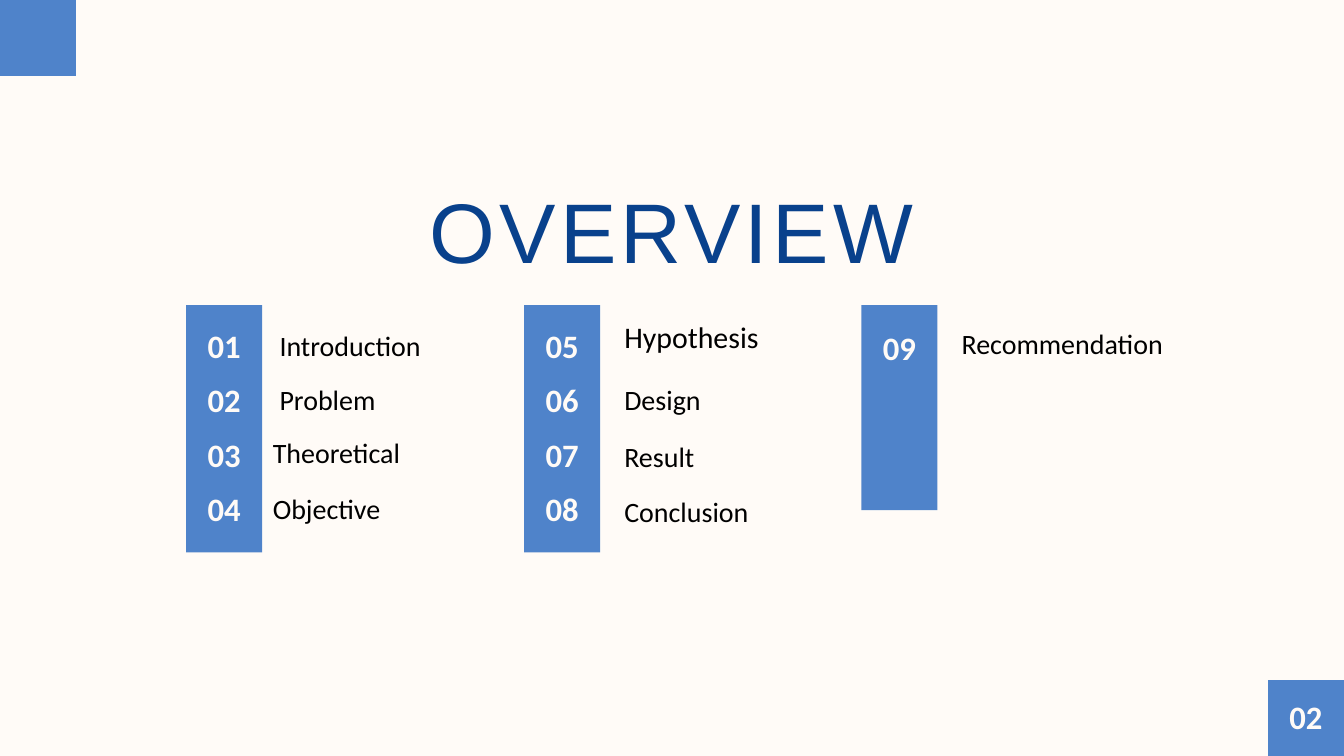
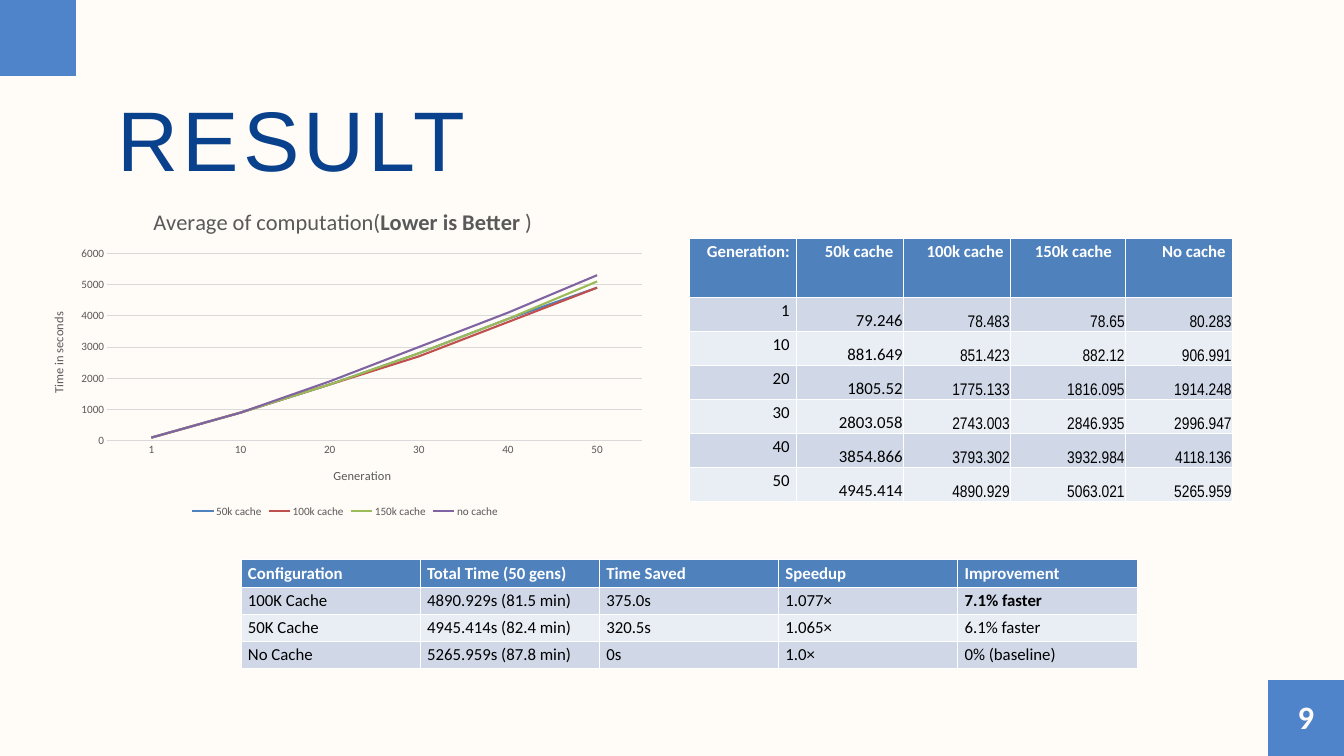
from lxml import etree
from pptx import Presentation
from pptx.chart.data import CategoryChartData
from pptx.dml.color import RGBColor
from pptx.enum.chart import XL_CHART_TYPE, XL_LEGEND_POSITION, XL_TICK_MARK
from pptx.enum.shapes import MSO_SHAPE
from pptx.enum.text import MSO_ANCHOR, MSO_AUTO_SIZE, PP_ALIGN
from pptx.oxml.ns import qn
from pptx.util import Inches, Pt

LEFT, CENTER, RIGHT = PP_ALIGN.LEFT, PP_ALIGN.CENTER, PP_ALIGN.RIGHT
TOP, MIDDLE, BOTTOM = MSO_ANCHOR.TOP, MSO_ANCHOR.MIDDLE, MSO_ANCHOR.BOTTOM
NO_TICKS = XL_TICK_MARK.NONE

CREAM, NAVY, BLUE, BLACK, WHITE = "FFFBF7", "09418C", "155CBB", "000000", "FFFFFF"
HEADER, BANDS = "4F81BD", ("D0D8E8", "E9EDF4")
GREY, GRID = "595959", "D9D9D9"
SERIES_COLORS = ("4F81BD", "C0504D", "9BBB59", "8064A2")
SQUARE = 1.13
NUMBER_STEP = 2.42 / 3
CHART_WIDTH, CHART_HEIGHT = 9.21, 4.83

# Each column: left, height, top of first number, (label, left, top, size) entries
AGENDA = [
    (2.77, 3.68, 4.95, [("Introduction", 4.16, 4.97, 30), ("Problem", 4.16, 5.78, 30),
                        ("Theoretical", 4.06, 6.57, 30), ("Objective", 4.06, 7.4, 30)]),
    (7.8, 3.68, 4.95, [("Hypothesis", 9.29, 4.86, 32), ("Design", 9.29, 5.77, 30),
                       ("Result", 9.29, 6.63, 30), ("Conclusion", 9.29, 7.44, 30)]),
    (12.82, 3.05, 4.98, [("Recommendation", 14.31, 4.94, 30)]),
]

GENERATIONS = ("1", "10", "20", "30", "40", "50")
TIMES = {
    "50k cache": (79.246, 881.649, 1805.52, 2803.058, 3854.866, 4945.414),
    "100k cache": (78.483, 851.423, 1775.133, 2743.003, 3793.302, 4890.929),
    "150k cache": (78.65, 882.12, 1816.095, 2846.935, 3932.984, 5063.021),
    "no cache": (80.283, 906.991, 1914.248, 2996.947, 4118.136, 5265.959),
}
HEADER_RIGHT_MARGINS = (0.1, 0.15, 0.1, 0.2, 0.1)
SUMMARY = [
    ("Configuration", "Total Time (50 gens)", "Time Saved", "Speedup", "Improvement"),
    ("100K Cache", "4890.929s (81.5 min)", "375.0s", "1.077×", "7.1% faster"),
    ("50K Cache", "4945.414s (82.4 min)", "320.5s", "1.065×", "6.1% faster"),
    ("No Cache", "5265.959s (87.8 min)", "0s", "1.0×", "0% (baseline)"),
]


def rgb(color):
    return RGBColor.from_string(color)


def write(paragraph, text, size=18, color=BLACK, font="Calibri", bold=False,
          align=None, leading=None, tracking=None):
    """Append one formatted run to the paragraph."""
    run = paragraph.add_run()
    run.text = text
    run.font.name, run.font.size, run.font.bold = font, Pt(size), bold
    run.font.color.rgb = rgb(color)
    if align is not None:
        paragraph.alignment = align
    if leading:
        paragraph.line_spacing = Pt(leading)
    if tracking:
        run.font._element.set("spc", str(int(tracking * 100)))


def prepare_frame(frame):
    frame.margin_left = frame.margin_right = frame.margin_top = frame.margin_bottom = 0
    frame.word_wrap = True
    frame.auto_size = MSO_AUTO_SIZE.NONE
    frame.vertical_anchor = TOP


def add_label(slide, text, left, top, width, height, **style):
    box = slide.shapes.add_textbox(Inches(left), Inches(top), Inches(width), Inches(height))
    prepare_frame(box.text_frame)
    write(box.text_frame.paragraphs[0], text, **style)


def add_number(slide, text, left, top):
    add_label(slide, text, left, top, 0.93, 0.5, size=35, color=CREAM, bold=True,
              align=CENTER, leading=35)


def add_block(slide, left, top, height=SQUARE):
    """Add a blue block, one quarter transparent."""
    block = slide.shapes.add_shape(MSO_SHAPE.RECTANGLE, Inches(left), Inches(top),
                                   Inches(SQUARE), Inches(height))
    block.shadow.inherit = False
    block.fill.solid()
    block.fill.fore_color.rgb = rgb(BLUE)
    block.line.fill.background()
    fill_color = block._element.spPr.find(qn("a:solidFill"))[0]
    etree.SubElement(fill_color, qn("a:alpha")).set("val", "75000")


def add_slide(prs, title, number, left, top, width, align):
    slide = prs.slides.add_slide(prs.slide_layouts[5])
    heading = slide.shapes.title
    heading.left, heading.top = Inches(left), Inches(top)
    heading.width, heading.height = Inches(width), Inches(1.31)
    prepare_frame(heading.text_frame)
    write(heading.text_frame.paragraphs[0], title, size=90.6, color=NAVY, font="Arial",
          align=align, leading=90.6, tracking=4.5)
    add_block(slide, 0, 0)
    add_block(slide, 20 - SQUARE, 11.25 - SQUARE)
    add_number(slide, number, 18.97, 10.47)
    return slide


def add_agenda(slide):
    number = 1
    for left, height, number_top, entries in AGENDA:
        add_block(slide, left, 4.54, height)
        for row, (label, label_left, label_top, size) in enumerate(entries):
            add_number(slide, f"{number:02}", left + 0.1, number_top + row * NUMBER_STEP)
            add_label(slide, label, label_left, label_top, 4.13, 0.44, size=size,
                      align=LEFT, leading=30)
            number += 1


def set_layout(element, **inches):
    """Fix the place (x, y) and size (w, h) of a chart part, in inches within the chart."""
    for old in element.findall(qn("c:layout")):
        element.remove(old)
    layout = etree.Element(qn("c:layout"))
    manual = etree.SubElement(layout, qn("c:manualLayout"))
    if "w" in inches:
        etree.SubElement(manual, qn("c:layoutTarget")).set("val", "inner")
    for side in ("x", "y"):
        etree.SubElement(manual, qn(f"c:{side}Mode")).set("val", "edge")
    for key, length in inches.items():
        fraction = length / (CHART_WIDTH if key in "xw" else CHART_HEIGHT)
        etree.SubElement(manual, qn(f"c:{key}")).set("val", f"{fraction:.4f}")
    text = element.find(qn("c:tx"))
    if text is None:
        element.insert(0, layout)
    else:
        text.addnext(layout)


def format_font(font, size, color):
    font.name, font.size, font.bold = "Calibri", Pt(size), False
    font.color.rgb = rgb(color)


def format_axis(axis, title, x, y):
    axis.major_tick_mark = axis.minor_tick_mark = NO_TICKS
    format_font(axis.tick_labels.font, 12, GREY)
    write(axis.axis_title.text_frame.paragraphs[0], title, size=13.3, color=GREY)
    set_layout(axis.axis_title._element, x=x, y=y)


def add_time_chart(slide):
    data = CategoryChartData()
    data.categories = GENERATIONS
    for name, times in TIMES.items():
        data.add_series(name, [round(time, -2) for time in times])
    chart = slide.shapes.add_chart(XL_CHART_TYPE.LINE, Inches(0.53), Inches(2.92),
                                   Inches(CHART_WIDTH), Inches(CHART_HEIGHT), data).chart
    format_font(chart.font, 10, BLACK)

    heading = chart.chart_title.text_frame.paragraphs[0]
    for text, bold in (("Average of computation(", False), ("Lower is Better", True),
                       (" )", False)):
        write(heading, text, size=24, color=GREY, bold=bold)
    set_layout(chart.chart_title._element, x=1.72, y=0.15)

    chart.has_legend = True
    chart.legend.position = XL_LEGEND_POSITION.BOTTOM
    chart.legend.include_in_layout = False
    format_font(chart.legend.font, 12, GREY)

    format_axis(chart.category_axis, "Generation", 4.4, 4)
    chart.category_axis.format.line.color.rgb = rgb(GRID)
    chart.category_axis.format.line.width = Pt(0.75)
    seconds = chart.value_axis
    format_axis(seconds, "Time in seconds", 0.18, 1.69)
    seconds.axis_title.text_frame._txBody.bodyPr.set("rot", "-5400000")
    seconds.format.line.fill.background()
    seconds.minimum_scale, seconds.maximum_scale, seconds.major_unit = 0, 6000, 1000
    seconds.major_gridlines.format.line.color.rgb = rgb(GRID)
    seconds.major_gridlines.format.line.width = Pt(0.75)

    plot = chart.plots[0]
    plot.vary_by_categories = False
    for series, color in zip(plot.series, SERIES_COLORS):
        series.smooth = False
        series.format.line.color.rgb = rgb(color)
        series.format.line.width = Pt(2.25)
    plot_area = chart._chartSpace.find(f".//{qn('c:plotArea')}")
    set_layout(plot_area, x=1.06, y=0.85, w=7.96, h=2.79)


def add_grid(slide, rows, left, top, widths, heights, style_cell):
    """Add a banded table; style_cell(cell, row, column) returns its text format."""
    table = slide.shapes.add_table(len(rows), len(widths), Inches(left), Inches(top),
                                   Inches(sum(widths)), Inches(sum(heights))).table
    for column, width in zip(table.columns, widths):
        column.width = Inches(width)
    for r, texts in enumerate(rows):
        table.rows[r].height = Inches(heights[r])
        for c, text in enumerate(texts):
            cell = table.cell(r, c)
            cell.fill.solid()
            cell.fill.fore_color.rgb = rgb(BANDS[(r - 1) % 2] if r else HEADER)
            style = {"color": BLACK if r else WHITE, "bold": r == 0}
            style.update(style_cell(cell, r, c))
            write(cell.text_frame.paragraphs[0], text, **style)


def style_time(cell, row, column):
    if row == 0:
        cell.margin_right = Inches(HEADER_RIGHT_MARGINS[column])
    elif column:
        cell.vertical_anchor = BOTTOM
        cell.margin_left = cell.margin_right = cell.margin_top = Inches(0.01)
        cell.margin_bottom = 0
    narrow = row > 0 and column > 1
    return {"align": RIGHT, "font": "Arial Narrow" if narrow else "Calibri"}


def style_summary(cell, row, column):
    cell.vertical_anchor = MIDDLE
    best = (row, column) == (1, 4)
    return {"bold": row == 0 or best}


def main():
    prs = Presentation()
    prs.slide_width, prs.slide_height = Inches(20), Inches(11.25)
    background = prs.slide_master.background.fill
    background.solid()
    background.fore_color.rgb = rgb(CREAM)

    overview = add_slide(prs, "OVERVIEW", "02", 5.35, 2.92, 9.29, CENTER)
    add_agenda(overview)

    result = add_slide(prs, "RESULT", "9", 1.75, 1.55, 12.79, LEFT)
    add_time_chart(result)
    header = ["Generation:"] + [name.replace("no", "No") for name in TIMES]
    time_rows = [[generation, *map(str, times)]
                 for generation, *times in zip(GENERATIONS, *TIMES.values())]
    even_width = (8.08 - 1.71) / 4
    add_grid(result, [header] + time_rows, 10.26, 3.54,
             [even_width] * 3 + [1.71, even_width],
             [0.88] + [3.04 / len(time_rows)] * len(time_rows), style_time)
    add_grid(result, SUMMARY, 3.59, 8.33, [13.33 / 5] * 5,
             [1.62 / len(SUMMARY)] * len(SUMMARY), style_summary)
    prs.save("out.pptx")


if __name__ == "__main__":
    main()
